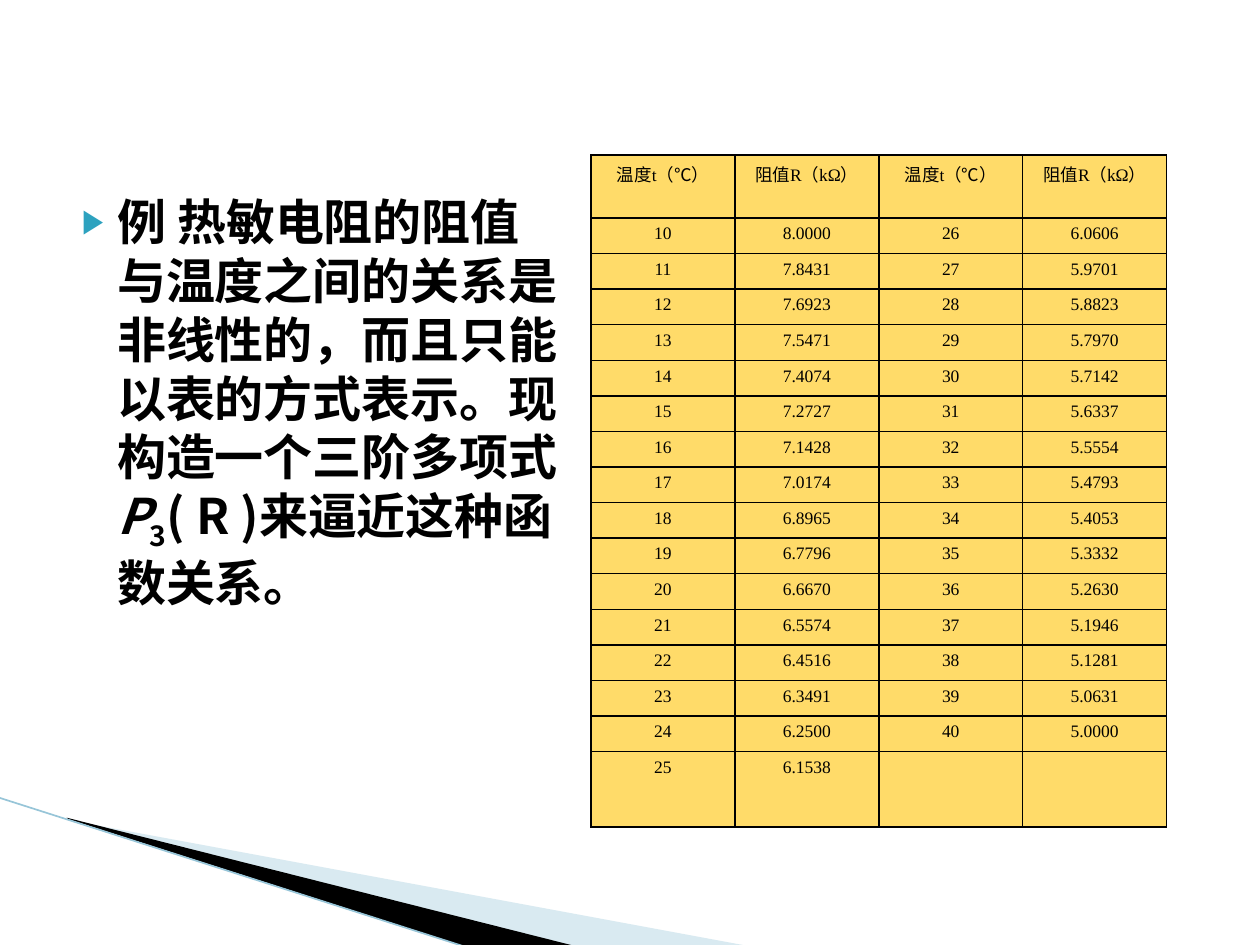
import pptx
import pptx.util
import pptx.dml.color
import pptx.enum.shapes
import pptx.enum.text
import pptx.oxml
import pptx.oxml.ns
from lxml import etree

Inches = pptx.util.Inches

# Content
HEADERS = ["温度t（℃）", "阻值R（kΩ）"] * 2
FIRST_TEMPERATURE = 10
RESISTANCES = [
    "8.0000", "7.8431", "7.6923", "7.5471", "7.4074", "7.2727", "7.1428", "7.0174",
    "6.8965", "6.7796", "6.6670", "6.5574", "6.4516", "6.3491", "6.2500", "6.1538",
    "6.0606", "5.9701", "5.8823", "5.7970", "5.7142", "5.6337", "5.5554", "5.4793",
    "5.4053", "5.3332", "5.2630", "5.1946", "5.1281", "5.0631", "5.0000",
]
STATEMENT = [
    ("例 热敏电阻的阻值与温度之间的关系是非线性的，而且只能以表的方式表示。现构造一个三阶多项式", {}),
    ("P", {"italic": True}),
    ("3", {"baseline": -25}),
    ("( R )来逼近这种函数关系。", {}),
]
WEDGES = [
    ("A0CBDC", 40, [(0.55, 6.51), (5.95, 7.51), (4.56, 7.51), (0.55, 6.5)]),
    ("000000", 100, [(0.53, 6.49), (4.57, 7.51), (3.72, 7.52), (0.54, 6.5)]),
]
CJK_FONT = "Noto Sans CJK SC"
ROWS = 16  # data rows; the second pair of columns continues the first


def color(code):
    return pptx.dml.color.RGBColor.from_string(code)


def qn(tag):
    return pptx.oxml.ns.qn(tag)


def xml(tag, content="", attributes=""):
    namespace = pptx.oxml.ns.nsdecls("a")
    return pptx.oxml.parse_xml(f"<a:{tag} {namespace} {attributes}>{content}</a:{tag}>")


def add_text(para, text, size=10, font=CJK_FONT, bold=False, italic=False, baseline=0):
    span = para.add_run()
    span.text = text
    span.font.size = pptx.util.Pt(size)
    span.font.name = font
    span.font.bold = bold
    span.font.italic = italic
    span.font.color.rgb = color("000000")
    properties = span.font._element
    properties.append(xml("ea", attributes=f'typeface="{CJK_FONT}"'))
    if baseline:
        properties.set("baseline", str(baseline * 1000))


def set_indent(para, left, hanging):
    properties = para._p.get_or_add_pPr()
    properties.set("marL", str(Inches(left)))
    properties.set("indent", str(-Inches(hanging)))
    return properties


def add_wedge(page, fill, opacity, points):
    corners = [(Inches(x), Inches(y)) for x, y in points]
    builder = page.shapes.build_freeform(*corners[0])
    builder.add_line_segments(corners[1:], close=True)
    wedge = builder.convert_to_shape()
    wedge.shadow.inherit = False
    wedge.line.fill.background()
    wedge.fill.solid()
    wedge.fill.fore_color.rgb = color(fill)
    if opacity < 100:
        tint = wedge._element.spPr.find(".//" + qn("a:srgbClr"))
        tint.append(xml("alpha", attributes=f'val="{opacity * 1000}"'))


def add_edge(page):
    edge = page.shapes.add_connector(
        pptx.enum.shapes.MSO_CONNECTOR.STRAIGHT,
        Inches(-0.01), Inches(6.33), Inches(3.71), Inches(7.52))
    edge.line.color.rgb = color("97C5D8")
    edge.line.width = pptx.util.Pt(0.95)
    etree.SubElement(edge._element.spPr, qn("a:effectLst"))


def fill_statement(body):
    body.left, body.top = Inches(0.43), Inches(1.47)
    body.width, body.height = Inches(4.17), Inches(4.5)
    frame = body.text_frame
    frame.word_wrap = True
    frame.auto_size = pptx.enum.text.MSO_AUTO_SIZE.NONE
    para = frame.paragraphs[0]
    para.line_spacing = 1.0
    para.space_before = pptx.util.Pt(0)
    properties = set_indent(para, 0.4, 0.28)
    properties.append(xml("buClr", '<a:srgbClr val="2DA2BF"/>'))
    properties.append(xml("buSzPct", attributes='val="68000"'))
    properties.append(xml("buChar", attributes='char="▶"'))
    for text, style in STATEMENT:
        add_text(para, text, size=28, bold=True, **style)


def fill_cell(cell, text):
    cell.fill.solid()
    cell.fill.fore_color.rgb = color("FFDB69")
    properties = cell._tc.get_or_add_tcPr()
    for index, side in enumerate(("lnL", "lnR", "lnT", "lnB")):
        border = xml(side, '<a:solidFill><a:srgbClr val="000000"/></a:solidFill>',
                     f'w="{pptx.util.Pt(1)}"')
        properties.insert(index, border)
    if text:
        para = cell.text_frame.paragraphs[0]
        para.alignment = pptx.enum.text.PP_ALIGN.CENTER
        set_indent(para, 0.38, 0.38)
        add_text(para, text, font="Times New Roman")


def add_readings(page):
    readings = [(str(FIRST_TEMPERATURE + i), value) for i, value in enumerate(RESISTANCES)]
    readings.append(("", ""))
    rows = [HEADERS] + [readings[i] + readings[i + ROWS] for i in range(ROWS)]
    width, height, last_height = 4.57, 5.12, 0.6
    table = page.shapes.add_table(
        len(rows), len(HEADERS), Inches(4.69), Inches(1.23),
        Inches(width), Inches(height)).table
    table.first_row = table.horz_banding = False
    for column in table.columns:
        column.width = Inches(width / len(HEADERS))
    for row in table.rows:
        row.height = Inches((height - last_height) / ROWS)
    table.rows[ROWS].height = Inches(last_height)
    for row_index, row in enumerate(rows):
        for column_index, text in enumerate(row):
            fill_cell(table.cell(row_index, column_index), text)


def main():
    deck = pptx.Presentation()
    deck.slide_width, deck.slide_height = Inches(10), Inches(7.5)
    page = deck.slides.add_slide(deck.slide_layouts[1])
    title, body = page.placeholders
    tree = title.element.getparent()
    tree.remove(title.element)

    # Corner decoration, behind the text
    for wedge in WEDGES:
        add_wedge(page, *wedge)
    add_edge(page)
    tree.append(body.element)

    # Statement and readings
    fill_statement(body)
    add_readings(page)
    deck.save("out.pptx")


if __name__ == "__main__":
    main()
